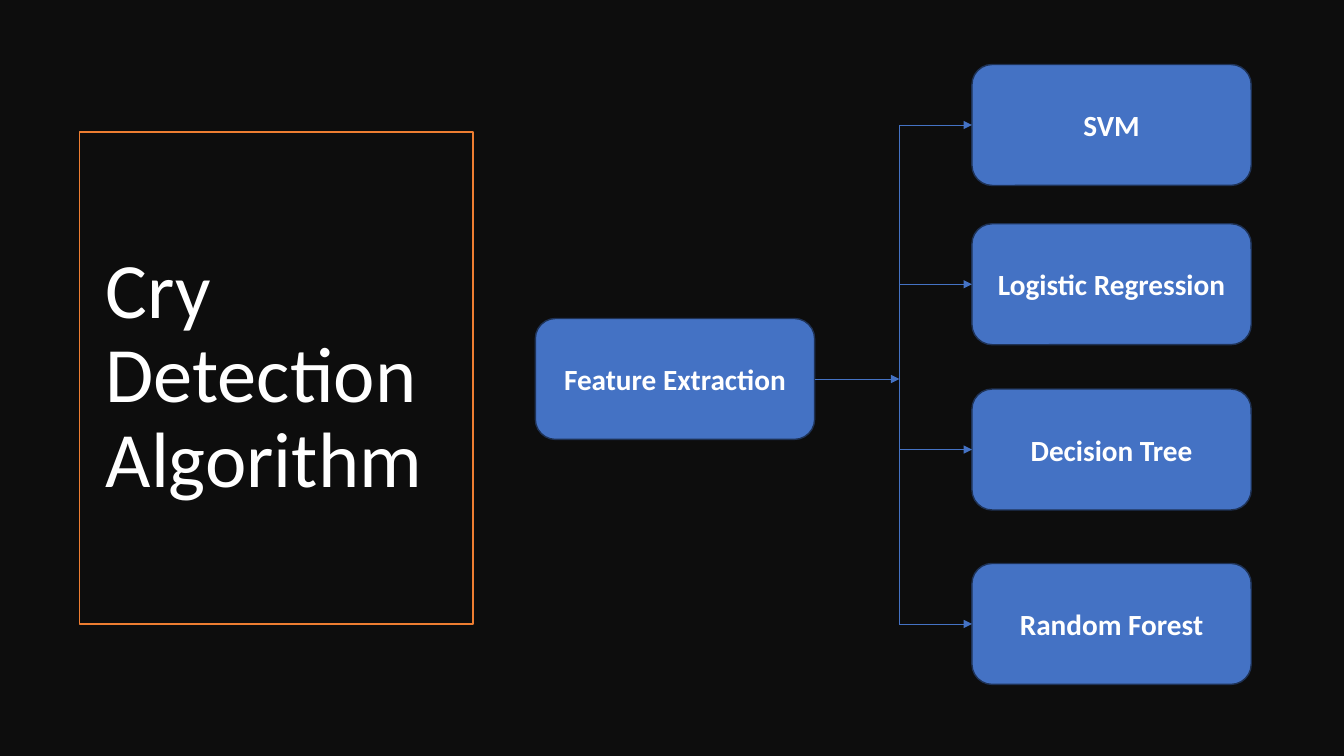
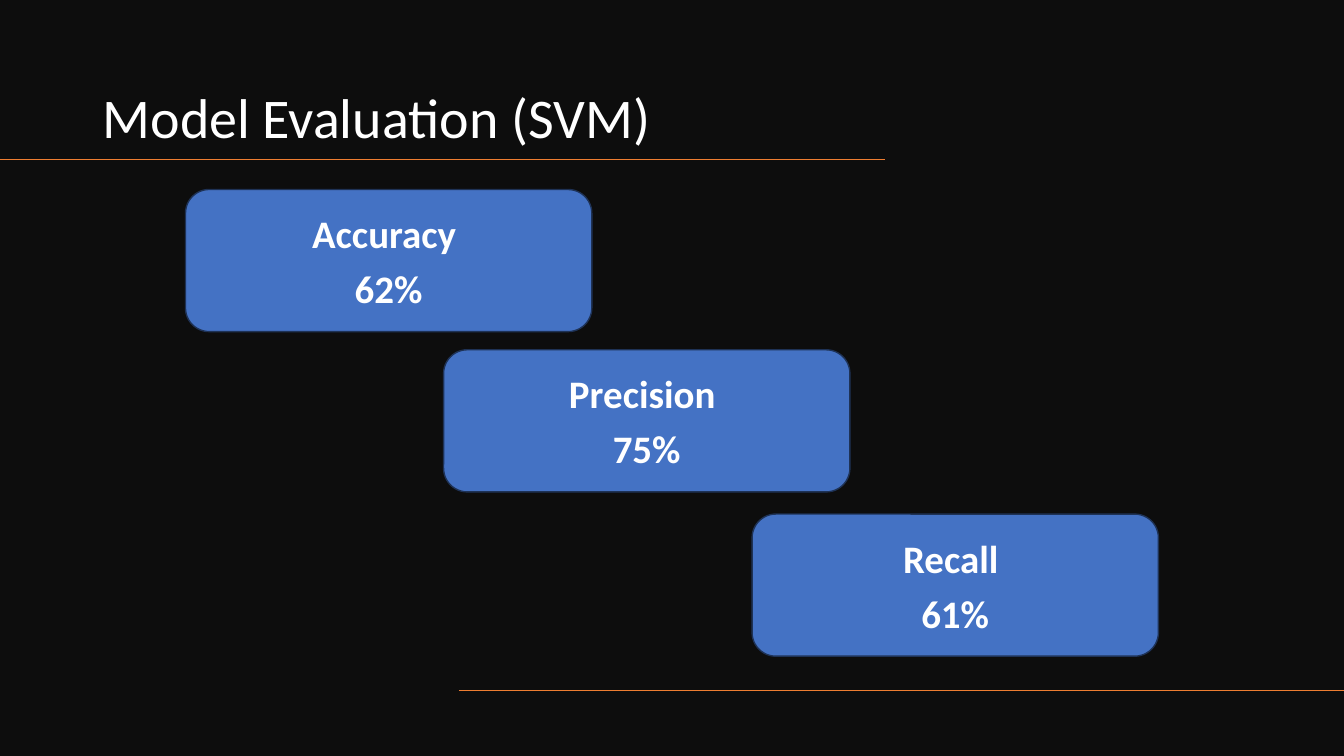
from dataclasses import dataclass

from lxml.etree import SubElement as Sub
from pptx import Presentation
from pptx.dml.color import RGBColor as Rgb
from pptx.enum.shapes import MSO_CONNECTOR as Conn, MSO_SHAPE as Form
from pptx.enum.text import MSO_ANCHOR as Anchor, PP_ALIGN as Align
from pptx.oxml.ns import qn
from pptx.util import Inches, Pt


@dataclass(frozen=True)
class Theme:
    back: Rgb = Rgb(0x0D, 0x0D, 0x0D)
    text: Rgb = Rgb(0xFF, 0xFF, 0xFF)
    blue: Rgb = Rgb(0x44, 0x72, 0xC4)
    edge: Rgb = Rgb(0x1E, 0x32, 0x56)
    accent: Rgb = Rgb(0xED, 0x7D, 0x31)
    font: str = "Calibri"
    hero: float = 56
    title: float = 40
    step: float = 20.9
    score: float = 27.8
    thin: float = 0.5
    line: float = 1


class Deck:
    """Hold the theme and the current slide, and draw each kind of element."""

    def __init__(self, theme):
        self.theme = theme
        self.prs = Presentation()
        self.prs.slide_width = Inches(13.33)
        self.prs.slide_height = Inches(7.5)

    def page(self):
        self.slide = self.prs.slides.add_slide(self.prs.slide_layouts[6])
        fill = self.slide.background.fill
        fill.solid()
        fill.fore_color.rgb = self.theme.back

    def style(self, frame, size, bold=False):
        frame.word_wrap = True
        for para in frame.paragraphs:
            for run in para.runs:
                run.font.name = self.theme.font
                run.font.size = Pt(size)
                run.font.bold = bold
                run.font.color.rgb = self.theme.text

    def title(self, text, area, size, anchor):
        frame = self.slide.shapes.add_textbox(*map(Inches, area)).text_frame
        frame.text = text
        frame.vertical_anchor = anchor
        frame.paragraphs[0].line_spacing = 0.9
        self.style(frame, size)

    def shape(self, form, area, edge):
        item = self.slide.shapes.add_shape(form, *map(Inches, area))
        item.shadow.inherit = False
        item.line.color.rgb = edge
        item.line.width = Pt(self.theme.line)
        return item

    def frame(self, area):
        self.shape(Form.RECTANGLE, area, self.theme.accent).fill.background()

    def box(self, text, area, size):
        item = self.shape(Form.ROUNDED_RECTANGLE, area, self.theme.edge)
        item.fill.solid()
        item.fill.fore_color.rgb = self.theme.blue
        frame = item.text_frame
        frame.text = text
        frame.vertical_anchor = Anchor.MIDDLE
        for para in frame.paragraphs:
            para.alignment = Align.CENTER
            para.space_after = Pt(6)
        self.style(frame, size, bold=True)
        return item

    def link(self, start, end, color, width):
        ends = map(Inches, (*start, *end))
        item = self.slide.shapes.add_connector(Conn.STRAIGHT, *ends)
        item.line.color.rgb = color
        item.line.width = Pt(width)
        Sub(item._element.spPr, qn("a:effectLst"))
        return item

    def rule(self, left, right, y):
        self.link((left, y), (right, y), self.theme.accent, self.theme.line)

    def wire(self, start, end):
        return self.link(start, end, self.theme.blue, self.theme.thin)

    def arrow(self, start, end):
        item = self.wire(start, end)
        Sub(item.line._get_or_add_ln(), qn("a:tailEnd"), type="triangle")
        return item


def flow(deck):
    size = deck.theme.step
    wide, high = 2.77, 1.2
    trunk, left, root = 8.92, 9.64, 3.16
    models = {
        "SVM": 0.64,
        "Logistic Regression": 2.22,
        "Decision Tree": 3.86,
        "Random Forest": 5.59,
    }
    deck.page()
    deck.title("Cry Detection Algorithm", (0.95, 1.47, 3.6, 4.55),
               deck.theme.hero, Anchor.MIDDLE)
    deck.frame((0.79, 1.31, 3.9, 4.88))
    source = deck.box("Feature Extraction", (5.31, root, wide, high), size)
    for name, top in models.items():
        model = deck.box(name, (left, top, wide, high), size)
        mid = top + high / 2
        deck.arrow((trunk, mid), (left, mid)).end_connect(model, 1)
    tops = models.values()
    deck.wire((trunk, min(tops) + high / 2), (trunk, max(tops) + high / 2))
    mid = root + high / 2
    deck.arrow((5.31 + wide, mid), (trunk, mid)).begin_connect(source, 3)


def scores(deck):
    results = [
        ("Accuracy \n62%", 1.84, 1.88),
        ("Precision \n75%", 4.4, 3.47),
        ("Recall \n61%", 7.46, 5.1),
    ]
    deck.page()
    deck.title("Model Evaluation (SVM)", (0.92, 0.42, 7.86, 1.12),
               deck.theme.title, Anchor.BOTTOM)
    deck.rule(0, 8.78, 1.58)
    deck.rule(4.55, 13.33, 6.85)
    for text, left, top in results:
        deck.box(text, (left, top, 4.03, 1.41), deck.theme.score)


def main():
    deck = Deck(Theme())
    flow(deck)
    scores(deck)
    deck.prs.save("out.pptx")


if __name__ == "__main__":
    main()
